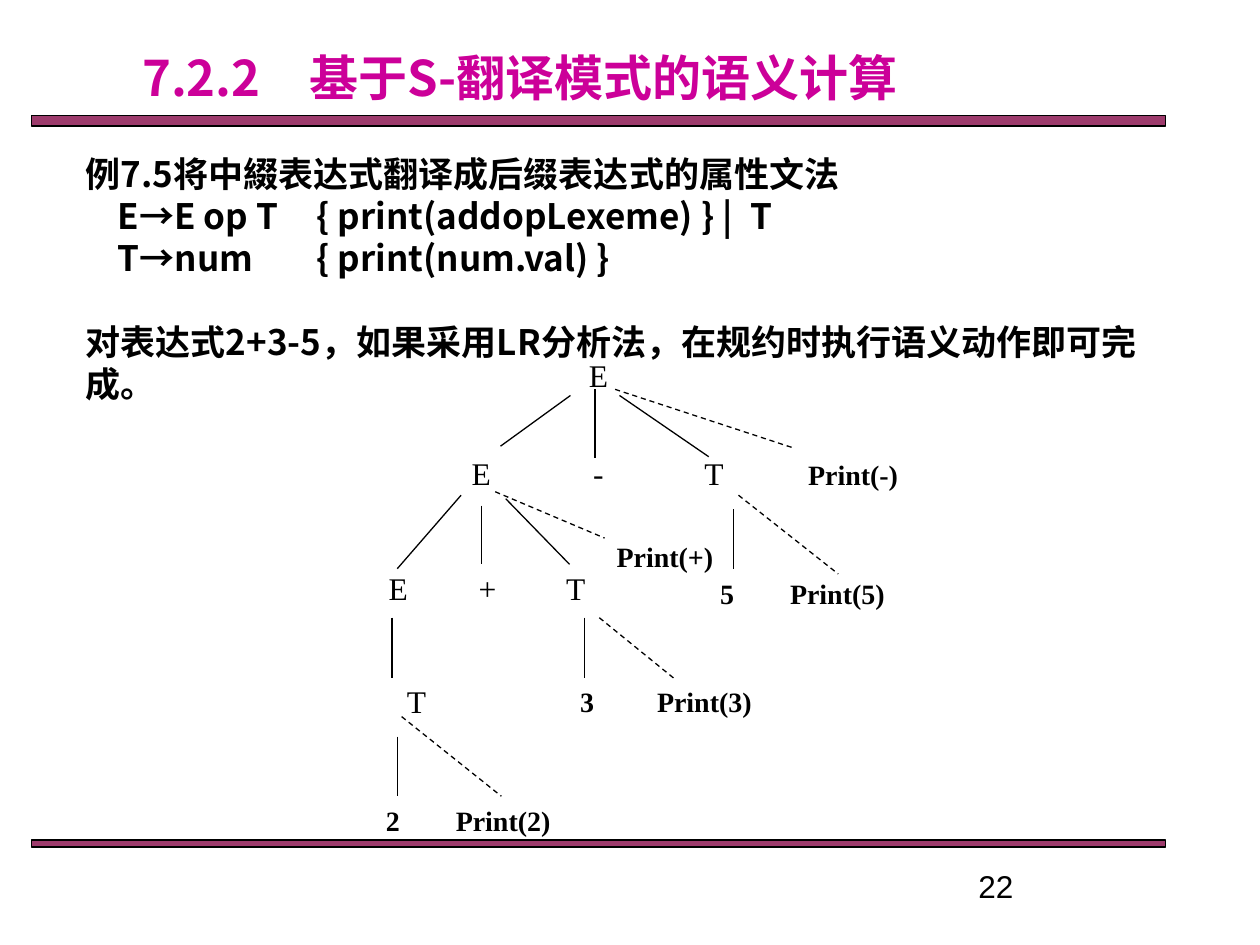
from lxml import etree
from pptx import Presentation
from pptx.dml.color import RGBColor
from pptx.enum.dml import MSO_LINE
from pptx.enum.shapes import MSO_CONNECTOR, MSO_SHAPE
from pptx.enum.text import MSO_ANCHOR, PP_ALIGN
from pptx.oxml.ns import qn
from pptx.util import Pt

RECT, LINE = MSO_SHAPE.RECTANGLE, MSO_CONNECTOR.STRAIGHT
DASH, MIDDLE = MSO_LINE.DASH, MSO_ANCHOR.MIDDLE
LEFT, CENTER = PP_ALIGN.LEFT, PP_ALIGN.CENTER
HEX = {"ink": "000000", "title": "CC0099", "bar": "993366"}
SANS, SERIF, PLAIN = "Noto Sans CJK SC", "Times New Roman", "Arial"
TABS = (18.5, 132, 380)

RULES = [
    "例7.5将中綴表达式翻译成后缀表达式的属性文法",
    "\tE→E op T\t{ print(addopLexeme) } |\tT",
    "\tT→num\t{ print(num.val) }",
    "对表达式2+3-5，如果采用LR分析法，在规约时执行语义动作即可完成。",
]
# Centre of each label, from the corner of the tree
NODES = [
    ("E", 126, 16), ("E", 59, 72), ("-", 126, 72), ("T", 192, 72),
    ("E", 11.5, 138), ("+", 62.5, 138), ("T", 113, 138), ("T", 22, 202.5),
]
LEAVES = [
    ("Print(-)", 271.5, 73), ("Print(+)", 164, 120),
    ("5", 199.5, 141), ("Print(5)", 262.5, 141),
    ("3", 119.5, 203), ("Print(3)", 186.5, 203),
    ("2", 8.5, 271), ("Print(2)", 71.5, 271),
]
# Ends of each line: x1, y1, x2, y2
EDGES = [
    (110, 28, 70, 57), (124, 24.5, 124, 64), (138, 28, 189, 63),
    (47.5, 85, 11, 127), (59, 91, 59, 124.5), (73, 87, 109.5, 124.5),
    (203, 93, 203, 127), (8, 155, 8, 189.5), (118, 155, 118, 189.5),
    (11, 223, 11, 257),
]
ACTIONS = [
    (135.5, 24.5, 237.5, 58), (67, 83, 129.5, 109.5), (206, 85, 263, 130),
    (126.5, 155, 169, 189.5), (13.5, 211.5, 70.5, 257),
]


def rgb(name):
    return RGBColor.from_string(HEX[name])


def put(obj, values):
    for key, value in values.items():
        setattr(obj, key, value)


def add_text(slide, box, text, size, face, bold=False, color="ink",
             align=LEFT, **frame):
    shape = slide.shapes.add_textbox(*map(Pt, box))
    put(shape.text_frame, {"word_wrap": True, **frame})
    para = shape.text_frame.paragraphs[0]
    style(para, text, size, face, bold, color, align)
    return shape.text_frame


def style(para, text, size, face, bold=False, color="ink", align=LEFT):
    para.alignment = align
    run = para.add_run()
    run.text = text
    put(run.font, {"size": Pt(size), "name": face, "bold": bold})
    run.font.color.rgb = rgb(color)
    etree.SubElement(run._r.get_or_add_rPr(), qn("a:ea"), typeface=face)


def add_bar(slide, box):
    bar = slide.shapes.add_shape(RECT, *map(Pt, box))
    bar.shadow.inherit = False
    bar.fill.solid()
    bar.fill.fore_color.rgb = rgb("bar")
    shade = bar._element.spPr.find(qn("a:solidFill"))[0]
    etree.SubElement(shade, qn("a:alpha"), val="96000")
    bar.line.color.rgb = rgb("ink")
    bar.line.width = Pt(0.75)


def add_rules(slide, box):
    """Grammar text, with its columns on tab stops."""
    frame = add_text(slide, box, RULES[0], 20, SANS, True, margin_top=Pt(10.5))
    for text in RULES[1:]:
        para = frame.add_paragraph()
        if "\t" in text:
            stops = etree.SubElement(para._p.get_or_add_pPr(), qn("a:tabLst"))
            for stop in TABS:
                etree.SubElement(stops, qn("a:tab"), pos=str(Pt(stop)), algn="l")
        style(para, text, 20, SANS, True)
    for para in frame.paragraphs:
        para.line_spacing = Pt(24)
    frame.paragraphs[-1].space_before = Pt(24)


def add_label(slide, x, y, text, size, bold):
    wide, high = 70, 24
    add_text(slide, (x - wide / 2, y - high / 2, wide, high), text, size, SERIF,
             bold, align=CENTER, vertical_anchor=MIDDLE, margin_left=0,
             margin_right=0, margin_top=0, margin_bottom=0)


def add_edge(slide, ends, dash=None):
    edge = slide.shapes.add_connector(LINE, *map(Pt, ends))
    edge.line.color.rgb = rgb("ink")
    put(edge.line, {"width": Pt(0.75), "dash_style": dash})
    etree.SubElement(edge._element.spPr, qn("a:effectLst"))


def add_tree(slide, left, top):
    for edges, dash in ((EDGES, None), (ACTIONS, DASH)):
        for x1, y1, x2, y2 in edges:
            add_edge(slide, (left + x1, top + y1, left + x2, top + y2), dash)
    for labels, size, bold in ((NODES, 18, False), (LEAVES, 16, True)):
        for text, x, y in labels:
            add_label(slide, left + x, top + y, text, size, bold)


def main():
    deck = Presentation()
    put(deck, {"slide_width": Pt(720), "slide_height": Pt(540)})
    slide = deck.slides.add_slide(deck.slide_layouts[6])
    add_bar(slide, (18, 66, 648, 6))
    add_bar(slide, (18, 480, 648, 4))
    add_rules(slide, (41.75, 76.5, 624, 157.5))
    add_text(slide, (0, 23.5, 594, 41), "7.2.2\u3000基于S-翻译模式的语义计算".replace("\u3000", "　"),
             28, SANS, True, "title", CENTER)
    add_tree(slide, 216, 198)
    add_text(slide, (552, 492, 150, 33), "22", 18, PLAIN)
    deck.save("out.pptx")


if __name__ == "__main__":
    main()
